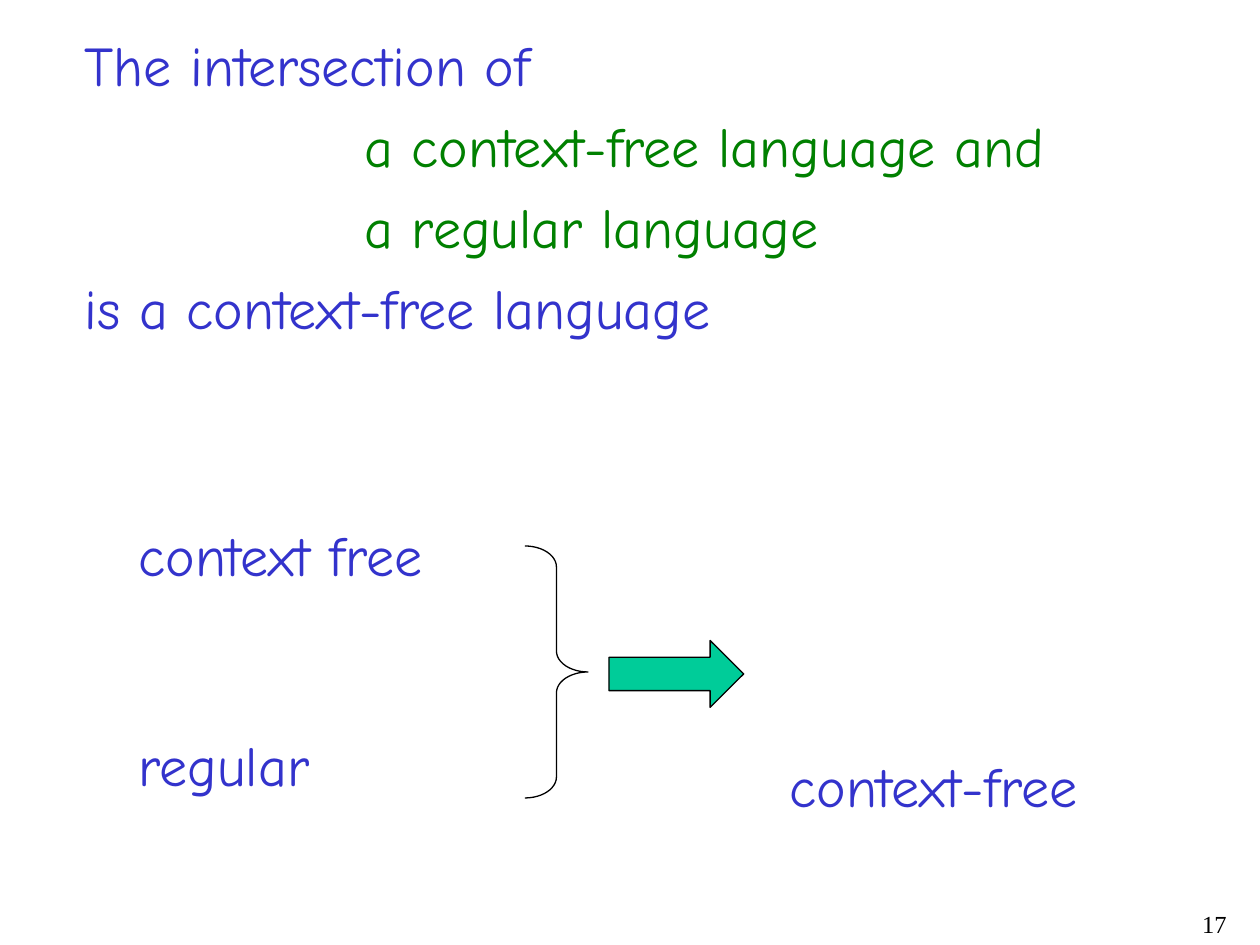
from pptx import Presentation
from pptx.dml.color import RGBColor
from pptx.enum.shapes import MSO_SHAPE
from pptx.enum.text import MSO_ANCHOR, MSO_AUTO_SIZE, PP_ALIGN
from pptx.util import Pt

BRACE = MSO_SHAPE.RIGHT_BRACE
ARROW = MSO_SHAPE.RIGHT_ARROW
TOP = MSO_ANCHOR.TOP
NO_FIT = MSO_AUTO_SIZE.NONE
LEFT = PP_ALIGN.LEFT
RIGHT = PP_ALIGN.RIGHT

BLUE = "3333CC"
GREEN = "008000"
TEAL = "00CC99"
BLACK = "000000"
BODY_FONT = "Comic Neue"
NUMBER_FONT = "Times New Roman"

THEOREM = [
    ("The intersection of", BLUE, 0),
    ("a context-free language and", GREEN, 160),
    ("a regular language", GREEN, 160),
    ("is a context-free language", BLUE, 0),
]


def rgb(color):
    return RGBColor.from_string(color)


def format_para(para, color, font=BODY_FONT, size=32, align=LEFT):
    para.alignment = align
    for span in para.runs:
        span.font.name = font
        span.font.size = Pt(size)
        span.font.color.rgb = rgb(color)


def add_label(page, text, left, top, width, height, color=BLUE, **style):
    box = page.shapes.add_textbox(Pt(left), Pt(top), Pt(width), Pt(height))
    frame = box.text_frame
    frame.word_wrap = True
    frame.text = text
    format_para(frame.paragraphs[0], color, **style)


def add_outlined(page, kind, left, top, width, height, adjustments, fill=None):
    shape = page.shapes.add_shape(kind, Pt(left), Pt(top), Pt(width), Pt(height))
    shape.shadow.inherit = False
    for index, value in enumerate(adjustments):
        shape.adjustments[index] = value
    if fill:
        shape.fill.solid()
        shape.fill.fore_color.rgb = rgb(fill)
    else:
        shape.fill.background()
    shape.line.color.rgb = rgb(BLACK)
    shape.line.width = Pt(0.75)


def place_theorem(page, left, top, width, height):
    title = page.shapes.title
    title.left, title.top = Pt(left), Pt(top)
    title.width, title.height = Pt(width), Pt(height)
    frame = title.text_frame
    frame.auto_size = NO_FIT
    frame.word_wrap = True
    frame.vertical_anchor = TOP
    frame.text = "\n".join(text for text, color, indent in THEOREM)
    for index, (para, (text, color, indent)) in enumerate(zip(frame.paragraphs, THEOREM)):
        properties = para._p.get_or_add_pPr()
        properties.set("marL", str(Pt(indent)))
        properties.set("indent", "0")
        para.space_before = Pt(8 if index else 0)
        format_para(para, color)


def place_diagram(page, left, top, width, height):
    label_height = 45.4
    add_label(page, "context free", left, top, 215, label_height)
    add_label(page, "regular", left, top + 120, 130, label_height)
    add_outlined(page, BRACE, left + 228, top + 18, 36, 144, (0.333, 0.5))
    add_outlined(page, ARROW, left + 276, top + 72, 77, 38.2, (0.5, 0.502), TEAL)
    result_width = 218
    add_label(page, "context-free", left + width - result_width,
              top + height - label_height, result_width, label_height)


def main():
    deck = Presentation()
    deck.slide_width, deck.slide_height = Pt(720), Pt(540)
    page = deck.slides.add_slide(deck.slide_layouts[5])
    place_theorem(page, 41, 13.7, 640, 183.6)
    place_diagram(page, 72, 294, 590, 177.4)
    add_label(page, "17", 558, 516, 150, 24, BLACK,
              font=NUMBER_FONT, size=14, align=RIGHT)
    deck.save("out.pptx")


if __name__ == "__main__":
    main()
